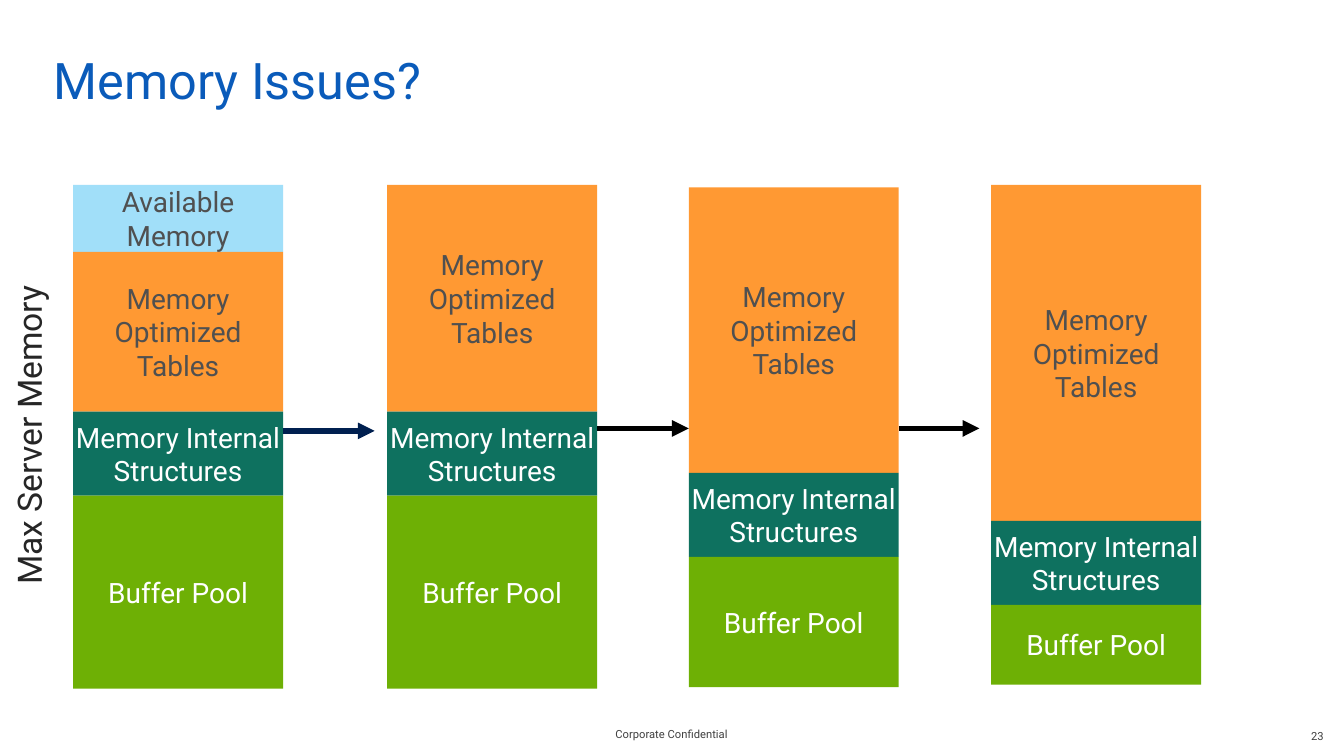
import pptx
import pptx.util
import pptx.dml.color
import pptx.enum.shapes
import pptx.enum.text
import pptx.oxml.ns
from lxml import etree

COLUMNS, ROWS = 160, 90
CELL = pptx.util.Inches(7.5) / ROWS
ALIGN = pptx.enum.text.PP_ALIGN
ANCHOR = pptx.enum.text.MSO_ANCHOR
STACK_WIDTH = 25

BLOCKS = {
    "available": ("Available Memory", "A1DFF9", "505050"),
    "tables": ("Memory Optimized Tables", "FF9933", "505050"),
    "internal": ("Memory Internal Structures", "0E715F", "FFFFFF"),
    "buffer": ("Buffer Pool", "6EB005", "FFFFFF"),
}
STACKS = [
    (8.7, 22, {"available": 8, "tables": 19, "internal": 10, "buffer": 23}),
    (46.1, 22, {"tables": 27, "internal": 10, "buffer": 23}),
    (82, 22.3, {"tables": 34, "internal": 10, "buffer": 15.5}),
    (118, 22, {"tables": 40, "internal": 10, "buffer": 9.5}),
]
ARROWS = [
    (33.7, 44.6, 51.3, "002050"),
    (71.1, 82, 51, "000000"),
    (107, 116.6, 51, "000000"),
]


def grid(count):
    return round(count * CELL)


def color(value):
    return pptx.dml.color.RGBColor.from_string(value)


def apply(target, values):
    for name, value in values.items():
        setattr(target, name, value)


def place(shape, left, top, width, height):
    apply(shape, {"left": grid(left), "top": grid(top),
                  "width": grid(width), "height": grid(height)})


def write(shape, text, size, ink, insets, frame_format, para_format):
    frame = shape.text_frame
    sides = ("margin_left", "margin_top", "margin_right", "margin_bottom")
    apply(frame, dict(zip(sides, map(pptx.util.Inches, insets))))
    apply(frame, {"word_wrap": True,
                  "auto_size": pptx.enum.text.MSO_AUTO_SIZE.NONE, **frame_format})
    para = frame.paragraphs[0]
    apply(para, para_format)
    span = para.add_run()
    span.text = text
    apply(span.font, {"name": "Roboto", "size": pptx.util.Pt(size)})
    span.font.color.rgb = color(ink)


def add_title(page, text):
    title = page.shapes.title
    place(title, 4, 4, 148, 9)
    write(title, text, 36, "0A5BBA", (0.2, 0.15, 0.1, 0.05),
          {"vertical_anchor": ANCHOR.TOP}, {"alignment": ALIGN.LEFT})


def add_text(page, position):
    box = page.shapes.add_textbox(0, 0, 0, 0)
    place(box, *position)
    return box


def add_footer(page, text, left, top, alignment):
    box = add_text(page, (left, top, 37.3, 4.8))
    write(box, text, 8, "3F3F3F", (0.2, 0.05, 0.2, 0.05),
          {"vertical_anchor": ANCHOR.MIDDLE}, {"alignment": alignment})


def add_side_label(page, text):
    box = add_text(page, (-16.7, 47.4, 40.9, 8.3))
    box.rotation = 270
    write(box, text, 24, "262626", (0.2, 0.16, 0.2, 0.16),
          {"word_wrap": False, "auto_size": pptx.enum.text.MSO_AUTO_SIZE.SHAPE_TO_FIT_TEXT},
          {"line_spacing": 0.9, "space_after": pptx.util.Pt(6)})


def add_block(page, kind, left, top, height):
    text, fill, ink = BLOCKS[kind]
    block = page.shapes.add_shape(pptx.enum.shapes.MSO_SHAPE.RECTANGLE, 0, 0, 0, 0)
    place(block, left, top, STACK_WIDTH, height)
    block.shadow.inherit = False
    block.fill.solid()
    block.fill.fore_color.rgb = color(fill)
    block.line.fill.background()
    write(block, text, 20, ink, (0, 0.05, 0, 0.05),
          {"vertical_anchor": ANCHOR.MIDDLE}, {"alignment": ALIGN.CENTER})


def add_stack(page, left, top, heights):
    for kind, height in heights.items():
        add_block(page, kind, left, top, height)
        top += height


def add_arrow(page, start, end, row, ink):
    arrow = page.shapes.add_connector(
        pptx.enum.shapes.MSO_CONNECTOR.STRAIGHT,
        grid(start), grid(row), grid(end), grid(row))
    arrow.line.width = pptx.util.Pt(4)
    arrow.line.color.rgb = color(ink)
    qualified = pptx.oxml.ns.qn
    etree.SubElement(arrow.line._get_or_add_ln(), qualified("a:tailEnd"), type="triangle")
    etree.SubElement(arrow._element.spPr, qualified("a:effectLst"))


def main():
    deck = pptx.Presentation()
    apply(deck, {"slide_width": grid(COLUMNS), "slide_height": grid(ROWS)})
    page = deck.slides.add_slide(deck.slide_layouts[5])
    add_title(page, "Memory Issues?")
    add_footer(page, "Corporate Confidential", 61.3, 85, ALIGN.CENTER)
    add_footer(page, "23", 122.7, 85.2, ALIGN.RIGHT)
    add_side_label(page, "Max Server Memory")
    for stack in STACKS:
        add_stack(page, *stack)
    for arrow in ARROWS:
        add_arrow(page, *arrow)
    deck.save("out.pptx")


if __name__ == "__main__":
    main()
